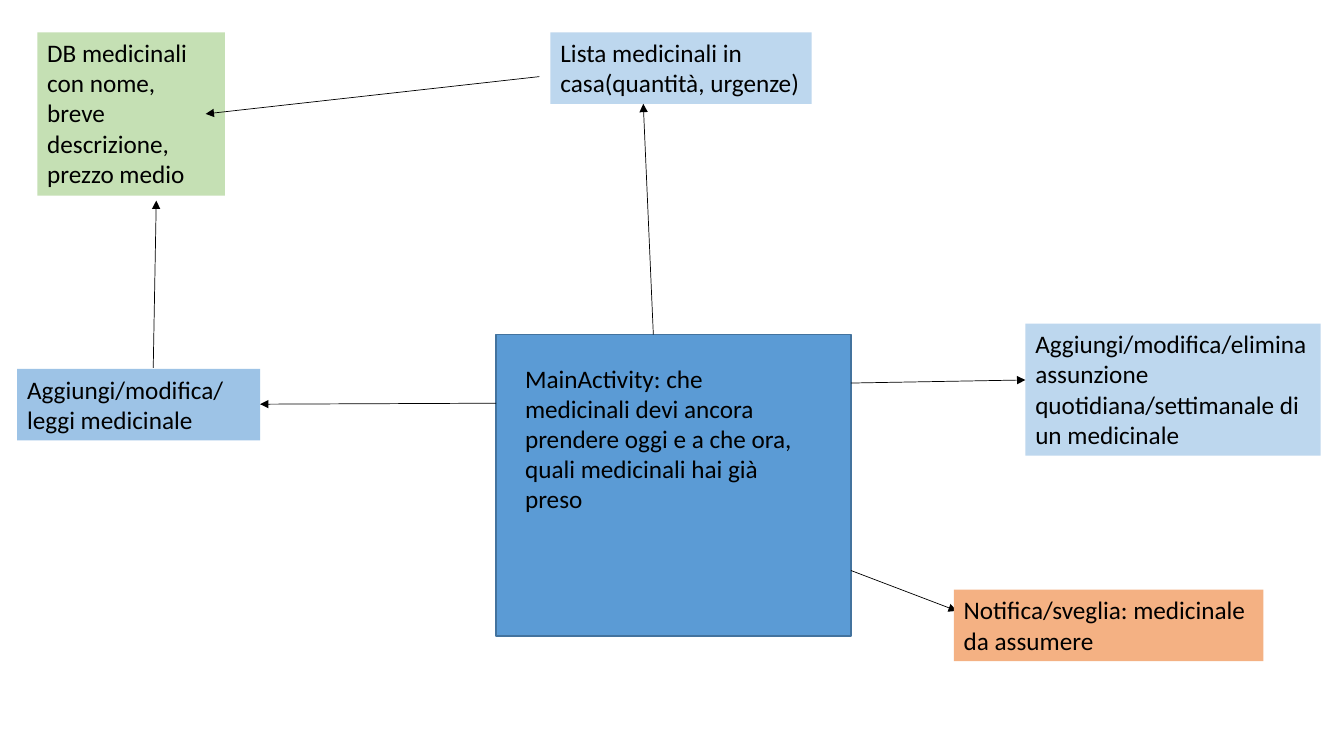
from dataclasses import dataclass
from pptx import Presentation
from pptx.dml.color import RGBColor
from pptx.enum import shapes, text
from pptx.oxml.ns import qn
from pptx.util import Inches, Pt
from lxml import etree


@dataclass(frozen=True)
class Theme:
    font: str = "Calibri"
    size: int = 18
    ink: str = "000000"
    main: str = "5B9BD5"
    edge: str = "43739E"
    green: str = "C5E0B4"
    blue: str = "9DC3E6"
    pale: str = "BDD7EE"
    orange: str = "F4B183"
    thin: float = 0.5
    rim: float = 1


theme = Theme()

# Content: place is left, top, width, height in inches
MAIN = (4.92, 3.32, 3.52, 2.99)
NOTES = [
    ("MainActivity: che medicinali devi ancora prendere oggi e a che ora, "
     "quali medicinali hai già preso", (5.11, 3.55, 3.04, 1.62), None),
    ("DB medicinali con nome, breve descrizione, prezzo medio",
     (0.37, 0.32, 1.86, 1.62), theme.green),
    ("Aggiungi/modifica/ leggi medicinale",
     (0.17, 3.66, 2.41, 0.71), theme.blue),
    ("Lista medicinali in casa(quantità, urgenze)",
     (5.46, 0.32, 2.59, 0.71), theme.pale),
    ("Aggiungi/modifica/elimina assunzione quotidiana/settimanale di un medicinale",
     (10.17, 3.21, 2.93, 1.31), theme.pale),
]
ALARM = ("Notifica/sveglia: medicinale da assumere",
         (9.46, 5.85, 3.07, 0.71), theme.orange)
RIGHT = MAIN[0] + MAIN[2]
ARROWS = [
    ((MAIN[0], 4), (2.58, 4.01)),        # main to medicine editor
    ((1.52, 3.65), (1.55, 1.99)),        # editor to database
    ((6.48, MAIN[1]), (6.38, 1.03)),     # main to home list
    ((5.35, 0.76), (2.04, 1.13)),        # home list to database
    ((RIGHT, 3.8), (10.17, 3.77)),       # main to intake editor
    ((RIGHT, 5.66), (9.49, 6.06)),       # main to alarm
]


def paint(fill, color):
    fill.solid()
    fill.fore_color.rgb = RGBColor.from_string(color)


def add_note(slide, words, place, color):
    box = slide.shapes.add_textbox(*map(Inches, place))
    if color:
        paint(box.fill, color)
    frame = box.text_frame
    frame.word_wrap = True
    frame.auto_size = text.MSO_AUTO_SIZE.SHAPE_TO_FIT_TEXT
    par = frame.paragraphs[0]
    par.text = words
    par.font.name = theme.font
    par.font.size = Pt(theme.size)
    par.font.color.rgb = RGBColor.from_string(theme.ink)


def add_arrow(slide, start, end):
    link = slide.shapes.add_connector(
        shapes.MSO_CONNECTOR.STRAIGHT, *map(Inches, start + end))
    link.line.width = Pt(theme.thin)
    paint(link.line.fill, theme.ink)
    tip = etree.SubElement(link.line._get_or_add_ln(), qn("a:tailEnd"))
    tip.set("type", "triangle")
    etree.SubElement(link._element.spPr, qn("a:effectLst"))


def main():
    deck = Presentation()
    deck.slide_width, deck.slide_height = Inches(13.33), Inches(7.5)
    slide = deck.slides.add_slide(deck.slide_layouts[6])

    # Main activity panel
    panel = slide.shapes.add_shape(
        shapes.MSO_SHAPE.RECTANGLE, *map(Inches, MAIN))
    panel.shadow.inherit = False
    paint(panel.fill, theme.main)
    paint(panel.line.fill, theme.edge)
    panel.line.width = Pt(theme.rim)

    # Notes, arrows, then the alarm that covers its arrow tip
    for note in NOTES:
        add_note(slide, *note)
    for start, end in ARROWS:
        add_arrow(slide, start, end)
    add_note(slide, *ALARM)

    deck.save("out.pptx")


if __name__ == "__main__":
    main()
